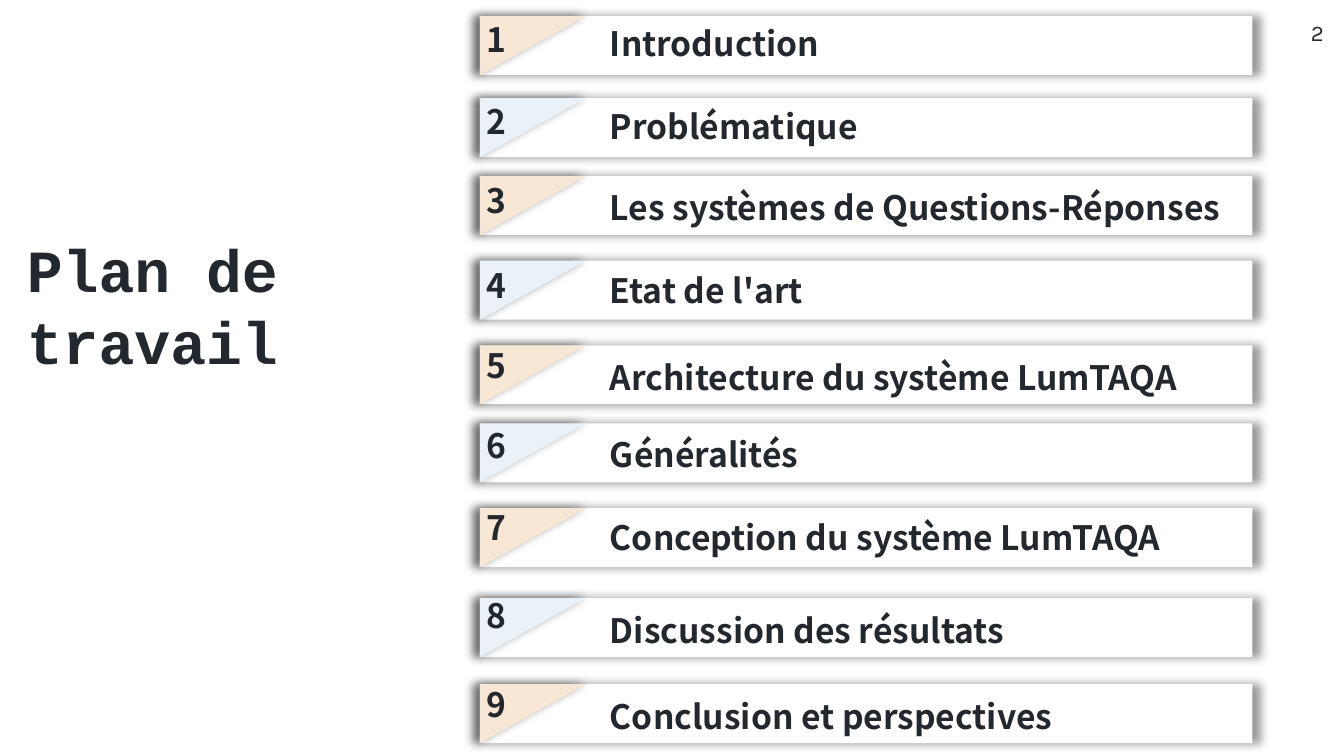
from dataclasses import dataclass

from lxml import etree
from pptx import Presentation
from pptx.dml.color import RGBColor
from pptx.enum import shapes, text
from pptx.oxml import ns
from pptx.util import Pt


@dataclass(frozen=True)
class Theme:
    """Colours, fonts and type sizes of the slide."""
    ink: str = "23282E"
    paper: str = "FFFFFF"
    accents: tuple = ("F8E7D5", "E9F2F9")
    shadow: str = "000000"
    title_font: str = "Courier New"
    body_font: str = "Noto Sans CJK TC"
    number_font: str = "Karla"
    title_size: int = 32
    body_size: int = 18
    number_size: int = 12


THEME = Theme()
BAR_LEFT, BAR_WIDTH, BAR_HEIGHT = 257, 414, 31.6
CORNER_WIDTH = 56.7
NUMBER_LEFT, NUMBER_WIDTH = 253.4, 41.8
LABEL_LEFT, LABEL_WIDTH = 319.7, 366.5
LINE_HEIGHT = 28.8

# label, top of the bar, top of the number, top of the label
AGENDA = [
    ("Introduction", 8.6, 6.5, 8.6),
    ("Problématique", 52.6, 50.4, 53.3),
    ("Les systèmes de Questions-Réponses", 94.3, 92.9, 96.5),
    ("Etat de l'art", 139.7, 138.2, 141.1),
    ("Architecture du système LumTAQA", 185, 181.4, 187.9),
    ("Généralités", 226.8, 223.9, 229),
    ("Conception du système LumTAQA", 272.2, 267.8, 273.6),
    ("Discussion des résultats", 320.4, 315.4, 323.3),
    ("Conclusion et perspectives", 366.5, 362.9, 369.4),
]


def add_shadow(shape):
    """Give a shape a soft, centred, slightly enlarged shadow."""
    shape.shadow.inherit = False
    effects = shape._element.spPr.find(ns.qn("a:effectLst"))
    outer = etree.SubElement(effects, ns.qn("a:outerShdw"), blurRad=str(Pt(5)),
                             sx="102000", sy="102000", algn="ctr", rotWithShape="0")
    color = etree.SubElement(outer, ns.qn("a:srgbClr"), val=THEME.shadow)
    etree.SubElement(color, ns.qn("a:alpha"), val="40000")


def add_panel(slide, kind, left, top, width, height, fill, rotation=0):
    """Add a filled shape without outline and with a shadow."""
    shape = slide.shapes.add_shape(kind, Pt(left), Pt(top), Pt(width), Pt(height))
    shape.rotation = rotation
    shape.fill.solid()
    shape.fill.fore_color.rgb = RGBColor.from_string(fill)
    shape.line.fill.background()
    add_shadow(shape)


def add_text(slide, content, left, top, width, height, *, font=THEME.body_font,
             size=THEME.body_size, bold=True, align=None, insets=None,
             spacing=None, grow=True):
    """Add a wrapped text box with one formatted paragraph."""
    shape = slide.shapes.add_textbox(Pt(left), Pt(top), Pt(width), Pt(height))
    frame = shape.text_frame
    frame.word_wrap = True
    if grow:
        frame.auto_size = text.MSO_AUTO_SIZE.SHAPE_TO_FIT_TEXT
    if insets:
        (frame.margin_left, frame.margin_top,
         frame.margin_right, frame.margin_bottom) = map(Pt, insets)
    paragraph = frame.paragraphs[0]
    paragraph.alignment = align
    if spacing:
        paragraph.line_spacing = Pt(spacing)
    run = paragraph.add_run()
    run.text = content
    run.font.name, run.font.size, run.font.bold = font, Pt(size), bold
    run.font.color.rgb = RGBColor.from_string(THEME.ink)


def add_agenda_row(slide, number, label, bar_top, number_top, label_top):
    """Add a bar with its coloured corner, number and label."""
    add_panel(slide, shapes.MSO_SHAPE.RECTANGLE, BAR_LEFT, bar_top,
              BAR_WIDTH, BAR_HEIGHT, THEME.paper)
    offset = (CORNER_WIDTH - BAR_HEIGHT) / 2
    add_panel(slide, shapes.MSO_SHAPE.RIGHT_TRIANGLE, BAR_LEFT + offset,
              bar_top - offset, BAR_HEIGHT, CORNER_WIDTH,
              THEME.accents[(number - 1) % 2], rotation=90)
    add_text(slide, str(number), NUMBER_LEFT, number_top, NUMBER_WIDTH, LINE_HEIGHT)
    add_text(slide, label, LABEL_LEFT, label_top, LABEL_WIDTH, LINE_HEIGHT)


def main():
    """Build the agenda slide and save it."""
    presentation = Presentation()
    presentation.slide_width, presentation.slide_height = Pt(720), Pt(405)
    slide = presentation.slides.add_slide(presentation.slide_layouts[6])
    slide.background.fill.solid()
    slide.background.fill.fore_color.rgb = RGBColor.from_string(THEME.paper)
    add_text(slide, "Plan de travail", 14.4, 121.7, 193.7, 74.9,
             font=THEME.title_font, size=THEME.title_size,
             insets=(0, 3, 0, 0), spacing=38.5, grow=False)
    for number, row in enumerate(AGENDA, 1):
        add_agenda_row(slide, number, *row)
    add_text(slide, "2", 666, 10.1, 43.2, 31, font=THEME.number_font,
             size=THEME.number_size, bold=False, align=text.PP_ALIGN.RIGHT,
             insets=(0, 0, 0, 0), grow=False)
    presentation.save("out.pptx")


if __name__ == "__main__":
    main()
